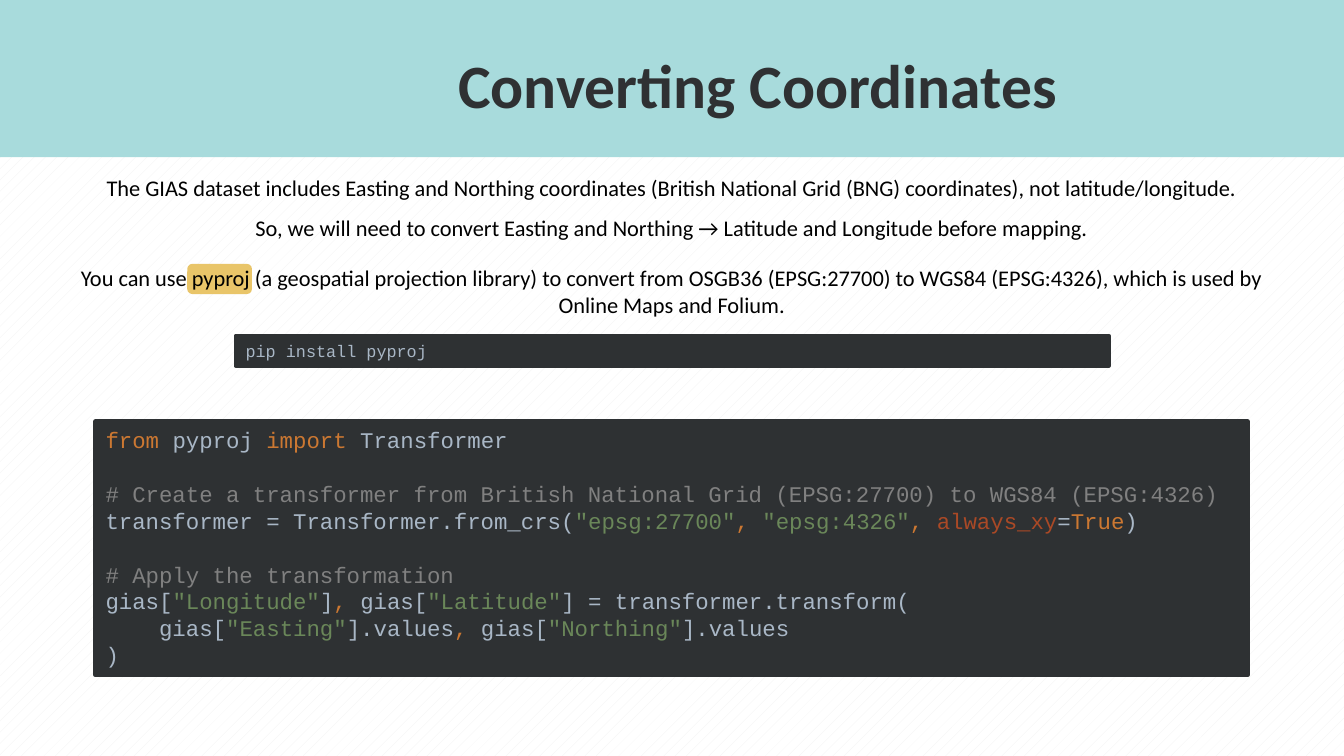
"""Build the slide on converting coordinates with pyproj."""
import copy

import pptx
import pptx.dml.color
import pptx.enum.dml
import pptx.enum.shapes
import pptx.enum.text
import pptx.util
from pptx.util import Cm

TEAL, GOLD, DARK = "A8DBDC", "E9C569", "2E3133"
PLAIN, KEYWORD, STRING = "A9B7C6", "CC7832", "6A8759"
COMMENT, ARGUMENT = "808080", "AA4926"
COMMA = (", ", KEYWORD)
CENTER = pptx.enum.text.PP_ALIGN.CENTER
MIDDLE = pptx.enum.text.MSO_ANCHOR.MIDDLE
TOP = pptx.enum.text.MSO_ANCHOR.TOP
SHAPES = pptx.enum.shapes.MSO_SHAPE

INSTALL = [[("pip install pyproj", PLAIN)]]
CONVERSION = [
    [("from ", KEYWORD), ("pyproj ", PLAIN), ("import ", KEYWORD), ("Transformer", PLAIN)],
    [],
    [("# Create a transformer from British National Grid (EPSG:27700) to WGS84 (EPSG:4326)", COMMENT)],
    [("transformer = Transformer.from_crs(", PLAIN), ('"epsg:27700"', STRING), COMMA,
     ('"epsg:4326"', STRING), COMMA, ("always_xy", ARGUMENT), ("=", PLAIN),
     ("True", KEYWORD), (")", PLAIN)],
    [],
    [("# Apply the transformation", COMMENT)],
    [("gias[", PLAIN), ('"Longitude"', STRING), ("]", PLAIN), COMMA,
     ("gias[", PLAIN), ('"Latitude"', STRING), ("] = transformer.transform(", PLAIN)],
    [("    gias[", PLAIN), ('"Easting"', STRING), ("].values", PLAIN), COMMA,
     ("gias[", PLAIN), ('"Northing"', STRING), ("].values", PLAIN)],
    [(")", PLAIN)],
]


def colour(value):
    """Return the colour for a hex string."""
    return pptx.dml.color.RGBColor.from_string(value)


def add_span(para, text, size, font, value, bold=False):
    """Add one run of formatted text."""
    span = para.add_run()
    span.text = text
    span.font.size = pptx.util.Pt(size)
    span.font.name = font
    span.font.bold = bold
    span.font.color.rgb = colour(value)
    return span


def add_block(page, kind, place, fill):
    """Add a filled shape without outline or shadow."""
    box = page.shapes.add_shape(kind, *map(Cm, place))
    box.shadow.inherit = False
    box.fill.solid()
    box.fill.fore_color.rgb = colour(fill)
    box.line.fill.background()
    return box


def add_text(page, place, texts, size, value, anchor=MIDDLE, align=CENTER, gap=0, bold=False):
    """Add a text box with one paragraph for each text."""
    box = page.shapes.add_textbox(*map(Cm, place))
    frame = box.text_frame
    frame.word_wrap = True
    frame.vertical_anchor = anchor
    for index, text in enumerate(texts):
        para = frame.add_paragraph() if index else frame.paragraphs[0]
        para.alignment = align
        if index:
            para.space_before = pptx.util.Pt(gap)
        add_span(para, text, size, "Calibri", value, bold)
    return box


def add_code(page, place, lines, size):
    """Add a dark panel of coloured code."""
    box = add_block(page, SHAPES.RECTANGLE, place, DARK)
    box.line.color.rgb = colour(DARK)
    box.line.width = pptx.util.Pt(3)
    frame = box.text_frame
    frame.word_wrap = True
    frame.vertical_anchor = TOP
    para = frame.paragraphs[0]
    para.alignment = pptx.enum.text.PP_ALIGN.LEFT
    for index, line in enumerate(lines):
        if index:
            para.add_line_break()
            para._p[-1].append(copy.deepcopy(span._r.rPr))
        for text, value in line:
            span = add_span(para, text, size, "Courier New", value)
    return box


def paint_background(page):
    """Give the page its faint dotted pattern."""
    fill = page.background.fill
    fill.patterned()
    fill.pattern = pptx.enum.dml.MSO_PATTERN.PERCENT_10
    fill.fore_color.rgb = colour("F2F2F2")
    fill.back_color.rgb = colour("FFFFFF")


def main():
    """Build and save the deck."""
    deck = pptx.Presentation()
    deck.slide_width, deck.slide_height = Cm(33.87), Cm(19.05)
    page = deck.slides.add_slide(deck.slide_layouts[6])
    paint_background(page)
    add_block(page, SHAPES.RECTANGLE, (0, 0, 33.87, 3.96), TEAL)
    add_block(page, SHAPES.ROUNDED_RECTANGLE, (4.72, 6.65, 1.63, 0.76), GOLD)
    title = add_text(page, (11.3, 1.02, 20.24, 2.44), ["Converting Coordinates"], 44, "2F3133",
                     align=pptx.enum.text.PP_ALIGN.LEFT, bold=True)
    title.text_frame.paragraphs[0].line_spacing = 0.9
    add_text(page, (0.99, 4.01, 31.88, 2.44), [
        "The GIAS dataset includes Easting and Northing coordinates "
        "(British National Grid (BNG) coordinates), not latitude/longitude.",
        "So, we will need to convert Easting and Northing → Latitude and Longitude before mapping.",
    ], 16, "000000", gap=10)
    add_text(page, (0.99, 6.53, 31.88, 1.63), [
        "You can use pyproj (a geospatial projection library) to convert from OSGB36 "
        "(EPSG:27700) to WGS84 (EPSG:4326), which is used by Online Maps and Folium.",
    ], 16, "000000", anchor=TOP)
    add_code(page, (5.94, 8.46, 22, 0.76), INSTALL, 12)
    add_code(page, (2.41, 10.62, 29.03, 6.4), CONVERSION, 16)
    deck.save("out.pptx")


if __name__ == "__main__":
    main()
